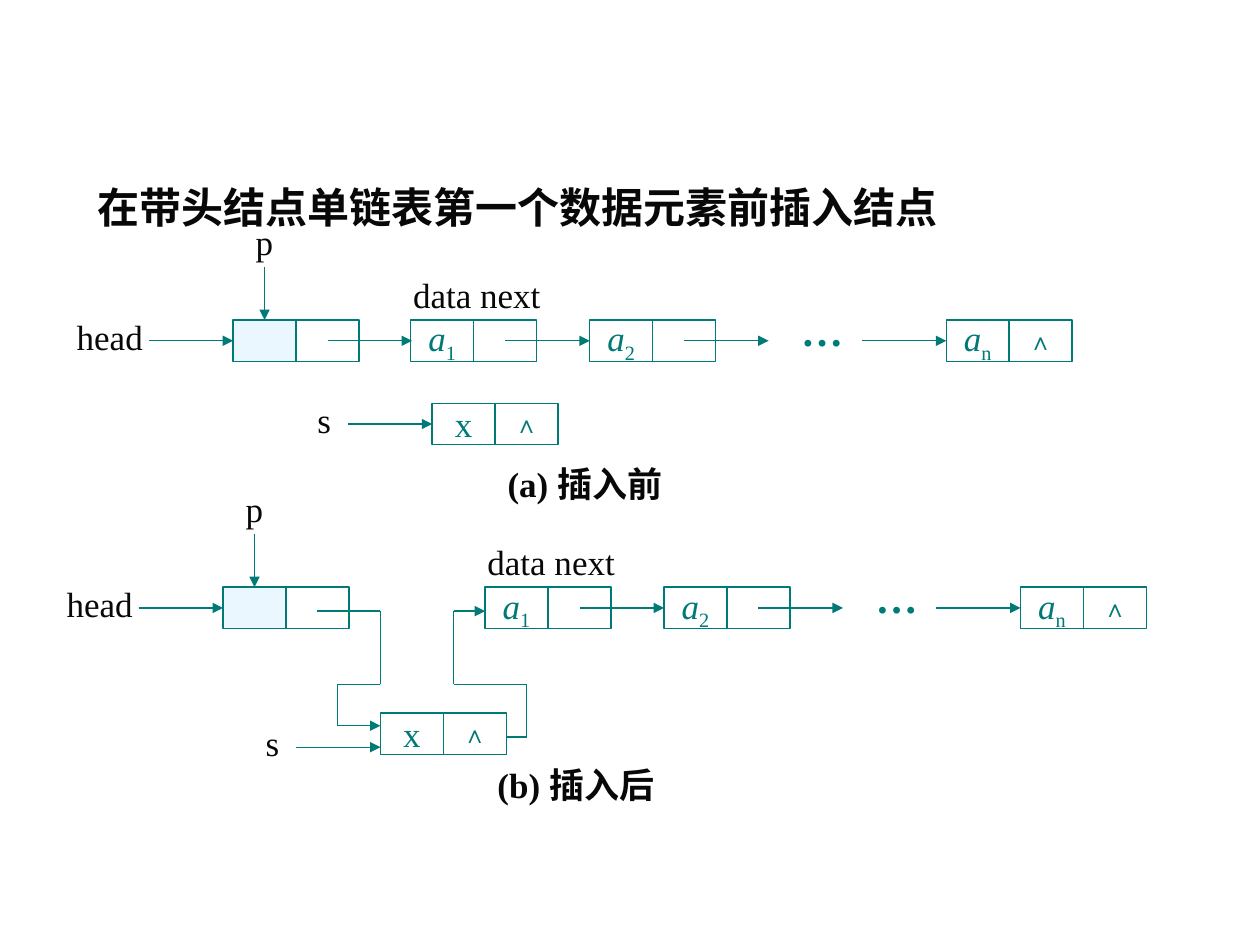
from lxml.etree import SubElement
from pptx import Presentation
from pptx.dml.color import RGBColor
from pptx.enum.shapes import MSO_CONNECTOR as Connector, MSO_SHAPE as Preset
from pptx.enum.text import MSO_ANCHOR as Anchor, MSO_AUTO_SIZE as AutoSize, PP_ALIGN as Align
from pptx.oxml.ns import qn
from pptx.util import Inches, Pt

TEAL, INK, PALE = "007A77", "080808", "EBF7FF"
CELL_W, CELL_H = 0.5, 0.33
STEP = 1.42
LAST = 4.25
ARROW = 0.67
NULL = "∧"


def color(value):
    return RGBColor.from_string(value)


def apply(target, values):
    for name, value in values.items():
        setattr(target, name, value)


class ListDiagram:
    base_font = {"name": "Times New Roman", "size": Pt(20), "bold": False}
    label_frame = {"word_wrap": True, "auto_size": AutoSize.SHAPE_TO_FIT_TEXT,
                   "vertical_anchor": Anchor.TOP}
    cell_frame = {"word_wrap": False, "vertical_anchor": Anchor.MIDDLE}

    def __init__(self, slide):
        self.slide = slide
        self.shapes = slide.shapes

    def start_group(self):
        self.shapes = self.slide.shapes.add_group_shape().shapes

    def add_text(self, paragraph, text, ink, **values):
        run = paragraph.add_run()
        run.text = text
        apply(run.font, self.base_font | values)
        run.font.color.rgb = color(ink)
        return run

    def outline(self, line):
        line.color.rgb = color(TEAL)
        line.width = Pt(0.75)

    def title(self, text, left, top, width, height):
        heading = self.slide.shapes.title
        apply(heading, {"left": Inches(left), "top": Inches(top),
                        "width": Inches(width), "height": Inches(height)})
        apply(heading.text_frame, self.label_frame)
        paragraph = heading.text_frame.paragraphs[0]
        apply(paragraph, {"alignment": Align.LEFT, "space_before": Pt(0), "line_spacing": 1.0})
        self.add_text(paragraph, text, INK, size=Pt(24), bold=True)

    def label(self, text, left, top, width, height=0.44, ink=INK, **values):
        box = self.shapes.add_textbox(*map(Inches, (left, top, width, height)))
        apply(box.text_frame, self.label_frame)
        self.add_text(box.text_frame.paragraphs[0], text, ink, **values)

    def cell(self, left, top, text="", subscript="", fill=None, **values):
        box = self.shapes.add_shape(Preset.RECTANGLE, *map(Inches, (left, top, CELL_W, CELL_H)))
        box.shadow.inherit = False
        self.outline(box.line)
        if fill:
            box.fill.solid()
            box.fill.fore_color.rgb = color(fill)
        else:
            box.fill.background()
        if text:
            apply(box.text_frame, self.cell_frame)
            paragraph = box.text_frame.paragraphs[0]
            paragraph.alignment = Align.CENTER
            self.add_text(paragraph, text, TEAL, **values)
            if subscript:
                index = self.add_text(paragraph, subscript, TEAL)
                index.font._element.set("baseline", "-25000")

    def node(self, left, top, text="", subscript="", last=False, fill=None):
        self.cell(left, top, text, subscript, fill, italic=bool(subscript))
        self.cell(left + CELL_W, top, NULL if last else "", size=Pt(14), bold=True)

    def link(self, *points):
        for start, end in zip(points, points[1:]):
            segment = self.shapes.add_connector(Connector.STRAIGHT, *map(Inches, start + end))
            self.outline(segment.line)
            SubElement(segment._element.spPr, qn("a:effectLst"))
        last_line = segment._element.spPr.find(qn("a:ln"))
        SubElement(last_line, qn("a:tailEnd"), type="triangle")

    def arrow(self, start, y):
        self.link((start, y), (start + ARROW, y))

    def pointer(self, text, target, y, width):
        start = target - ARROW
        self.label(text, start - width + 0.08, y - 0.25, width)
        self.arrow(start, y)

    def chain(self, head, first, top, fields_width):
        middle = top + CELL_H / 2
        p_x = head + CELL_W / 2
        self.label("p", head + 0.08, top - 0.84, 0.42)
        self.link((p_x, top - 0.42), (p_x, top))
        self.pointer("head", head, middle, 0.75)
        self.node(head, top, fill=PALE)
        self.label("data next", first - 0.08, top - 0.42, fields_width)
        self.node(first, top, "a", "1")
        self.node(first + STEP, top, "a", "2")
        self.node(first + LAST, top, "a", "n", last=True)
        for start in (0.75, STEP + 0.75, LAST - ARROW):
            self.arrow(first + start, middle)
        self.label("…", first + 3, top - 0.17, 0.75, 0.5, TEAL, size=Pt(24), bold=True)

    def new_node(self, left, top, pointer_drop):
        self.node(left, top, "x", last=True)
        self.pointer("s", left, top + pointer_drop, 0.42)

    def caption(self, text, left, top):
        self.label(text, left, top, 2, bold=True)


def main():
    deck = Presentation()
    apply(deck, {"slide_width": Inches(10), "slide_height": Inches(7.5)})
    diagram = ListDiagram(deck.slides.add_slide(deck.slide_layouts[5]))
    diagram.title("在带头结点单链表第一个数据元素前插入结点", 0.67, 1.39, 7.42, 0.5)

    diagram.start_group()
    diagram.chain(head=1.85, first=3.26, top=2.54, fields_width=1.42)
    diagram.arrow(2.6, 2.54 + CELL_H / 2)
    diagram.new_node(3.43, 3.2, CELL_H / 2)
    diagram.caption("(a) 插入前", 3.93, 3.62)

    diagram.start_group()
    diagram.chain(head=1.77, first=3.85, top=4.66, fields_width=1.25)
    diagram.new_node(3.02, 5.66, 0.27)
    diagram.link((2.52, 4.85), (3.02, 4.85), (3.02, 5.43), (2.68, 5.43), (2.68, 5.76), (3.02, 5.76))
    diagram.link((4.02, 5.85), (4.18, 5.85), (4.18, 5.43), (3.6, 5.43), (3.6, 4.85), (3.85, 4.85))
    diagram.caption("(b) 插入后", 3.85, 6.01)

    deck.save("out.pptx")


if __name__ == "__main__":
    main()
